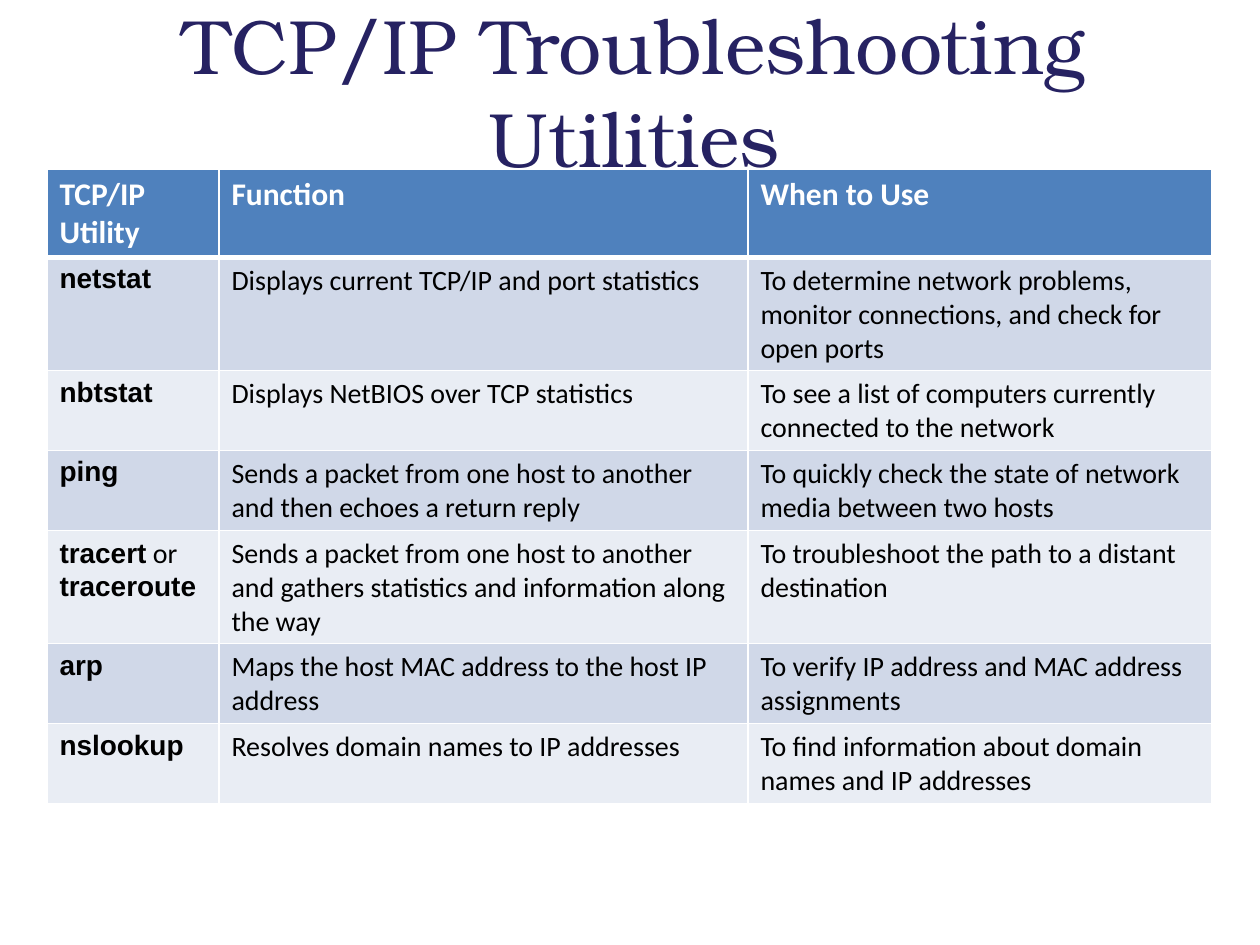
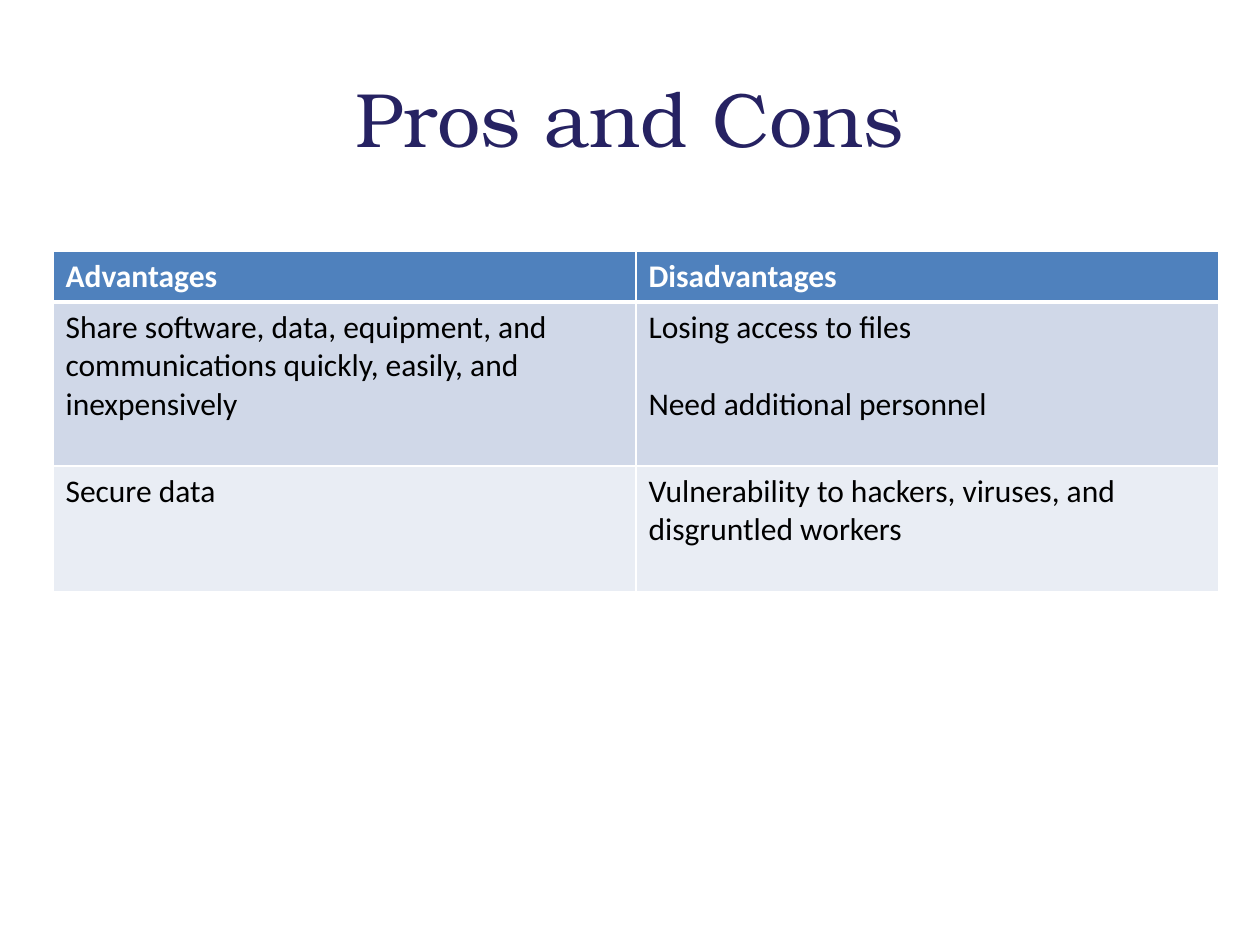
from dataclasses import dataclass

from lxml import etree
from pptx import Presentation
from pptx.dml.color import RGBColor
from pptx.enum.text import MSO_ANCHOR, PP_ALIGN
from pptx.oxml.ns import qn
from pptx.util import Emu, Pt

MIDDLE = MSO_ANCHOR.MIDDLE
CENTER = PP_ALIGN.CENTER
PX = 914400 // 126
BLANK = 6


@dataclass(frozen=True)
class Theme:
    title: str = "262262"
    header: str = "4F81BD"
    bands: tuple = ("D0D8E8", "E9EDF4")
    rule: str = "FFFFFF"
    header_text: str = "FFFFFF"
    body_text: str = "000000"
    title_font: str = "TeX Gyre Bonum"
    body_font: str = "Calibri"
    command_font: str = "Arial"
    title_size: int = 44
    header_size: int = 18
    paragraph_gap: int = 22
    thin: int = 1
    thick: int = 3


THEME = Theme()

# A cell is a list of paragraphs; a paragraph is text or a list of (text, is_command).
SLIDES = [
    {
        "title": "TCP/IP Troubleshooting Utilities",
        "title_box": (36, 11, 1197, 158),
        "table_at": (47, 169),
        "cols": (172, 529, 464),
        "rows": (88, 113, 79, 79, 113, 79, 79),
        "size": 16,
        "header": ("TCP/IP Utility", "Function", "When to Use"),
        "body": [
            ([[("netstat", True)]],
             ["Displays current TCP/IP and port statistics"],
             ["To determine network problems, monitor connections, and check for open ports"]),
            ([[("nbtstat", True)]],
             ["Displays NetBIOS over TCP statistics"],
             ["To see a list of computers currently connected to the network"]),
            ([[("ping", True)]],
             ["Sends a packet from one host to another and then echoes a return reply"],
             ["To quickly check the state of network media between two hosts"]),
            ([[("tracert", True), (" or ", False), ("traceroute", True)]],
             ["Sends a packet from one host to another and gathers statistics "
              "and information along the way"],
             ["To troubleshoot the path to a distant destination"]),
            ([[("arp", True)]],
             ["Maps the host MAC address to the host IP address"],
             ["To verify IP address and MAC address assignments"]),
            ([[("nslookup", True)]],
             ["Resolves domain names to IP addresses"],
             ["To find information about domain names and IP addresses"]),
        ],
    },
    {
        "title": "Pros and Cons",
        "title_box": (63, 38, 1134, 158),
        "table_at": (53, 251),
        "cols": (583, 583),
        "rows": (51, 164, 126),
        "size": 18,
        "header": ("Advantages", "Disadvantages"),
        "body": [
            (["Share software, data, equipment, and communications quickly, "
              "easily, and inexpensively"],
             ["Losing access to files", "Need additional personnel"]),
            (["Secure data"],
             ["Vulnerability to hackers, viruses, and disgruntled workers"]),
        ],
    },
]


def px(*values):
    return [Emu(v * PX) for v in values]


def style_font(font, name, size, color, bold=False):
    font.name, font.size, font.bold = name, Pt(size), bold
    font.color.rgb = RGBColor.from_string(color)


def add_title(s, text, box):
    tf = s.shapes.add_textbox(*px(*box)).text_frame
    tf.word_wrap = True
    tf.vertical_anchor = MIDDLE
    p = tf.paragraphs[0]
    p.text = text
    p.alignment = CENTER
    style_font(p.font, THEME.title_font, THEME.title_size, THEME.title)


def paint_cell(cell, fill, top, bottom):
    """Draw the four borders, then the fill, in the order the schema requires."""
    tc_pr = cell._tc.get_or_add_tcPr()
    sides = {"lnL": THEME.thin, "lnR": THEME.thin, "lnT": top, "lnB": bottom}
    for side, width in sides.items():
        ln = etree.SubElement(tc_pr, qn(f"a:{side}"), w=str(Pt(width)))
        solid = etree.SubElement(ln, qn("a:solidFill"))
        etree.SubElement(solid, qn("a:srgbClr"), val=THEME.rule)
    cell.fill.solid()
    cell.fill.fore_color.rgb = RGBColor.from_string(fill)


def write_cell(cell, paragraphs, size, color, bold):
    tf = cell.text_frame
    for i, content in enumerate(paragraphs):
        p = tf.add_paragraph() if i else tf.paragraphs[0]
        if i:
            p.space_before = Pt(THEME.paragraph_gap)
        if isinstance(content, str):
            p.text = content
            style_font(p.font, THEME.body_font, size, color, bold)
            continue
        for text, is_command in content:
            r = p.add_run()
            r.text = text
            name = THEME.command_font if is_command else THEME.body_font
            style_font(r.font, name, size, color, is_command)


def add_table(s, at, cols, rows, header, body, size):
    frame = s.shapes.add_table(len(rows), len(cols), *px(*at, sum(cols), sum(rows)))
    table = frame.table
    for column, width in zip(table.columns, px(*cols)):
        column.width = width
    for row, height in zip(table.rows, px(*rows)):
        row.height = height

    for i, row in enumerate([[[h] for h in header], *body]):
        is_header = i == 0
        fill = THEME.header if is_header else THEME.bands[(i - 1) % 2]
        top = THEME.thick if i == 1 else THEME.thin
        bottom = THEME.thick if is_header else THEME.thin
        color = THEME.header_text if is_header else THEME.body_text
        text_size = THEME.header_size if is_header else size
        for j, paragraphs in enumerate(row):
            cell = table.cell(i, j)
            paint_cell(cell, fill, top, bottom)
            write_cell(cell, paragraphs, text_size, color, is_header)


def main():
    prs = Presentation()
    prs.slide_width, prs.slide_height = px(1260, 945)
    for page in SLIDES:
        s = prs.slides.add_slide(prs.slide_layouts[BLANK])
        add_title(s, page["title"], page["title_box"])
        add_table(s, page["table_at"], page["cols"], page["rows"],
                  page["header"], page["body"], page["size"])
    prs.save("out.pptx")


if __name__ == "__main__":
    main()
